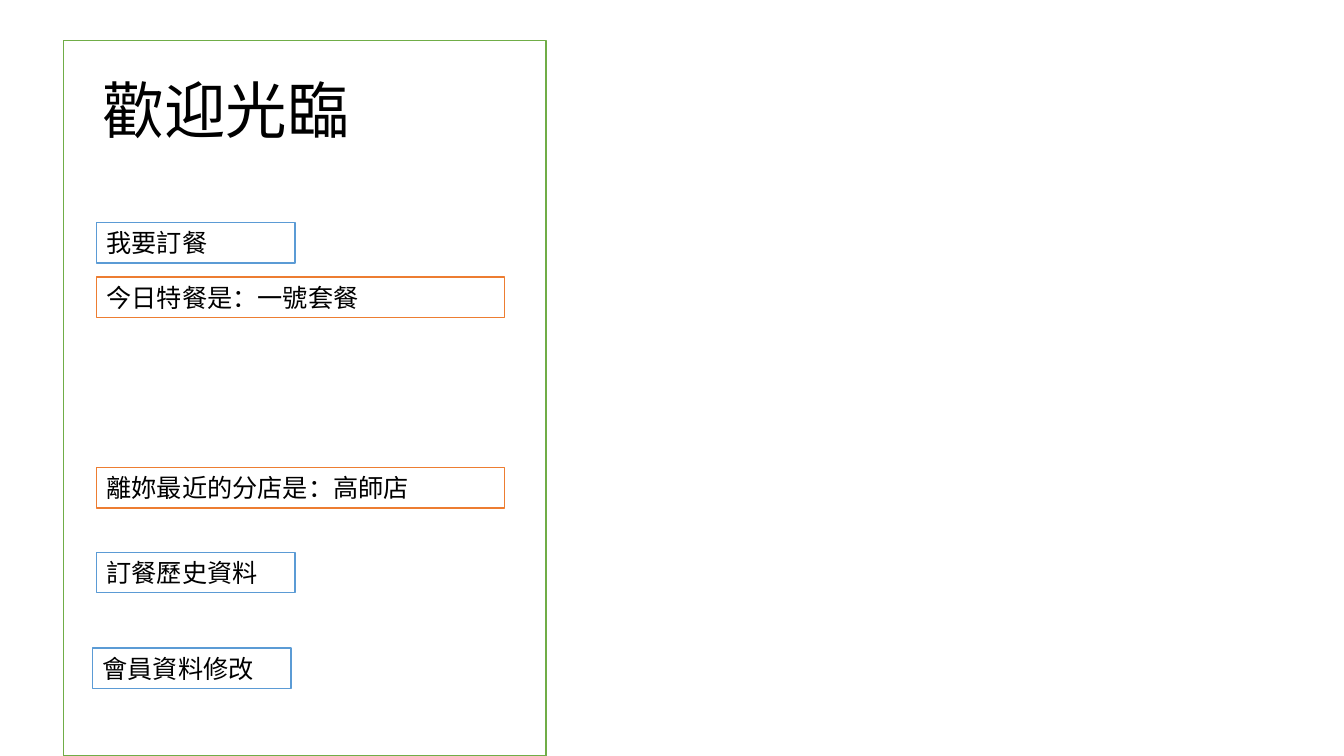
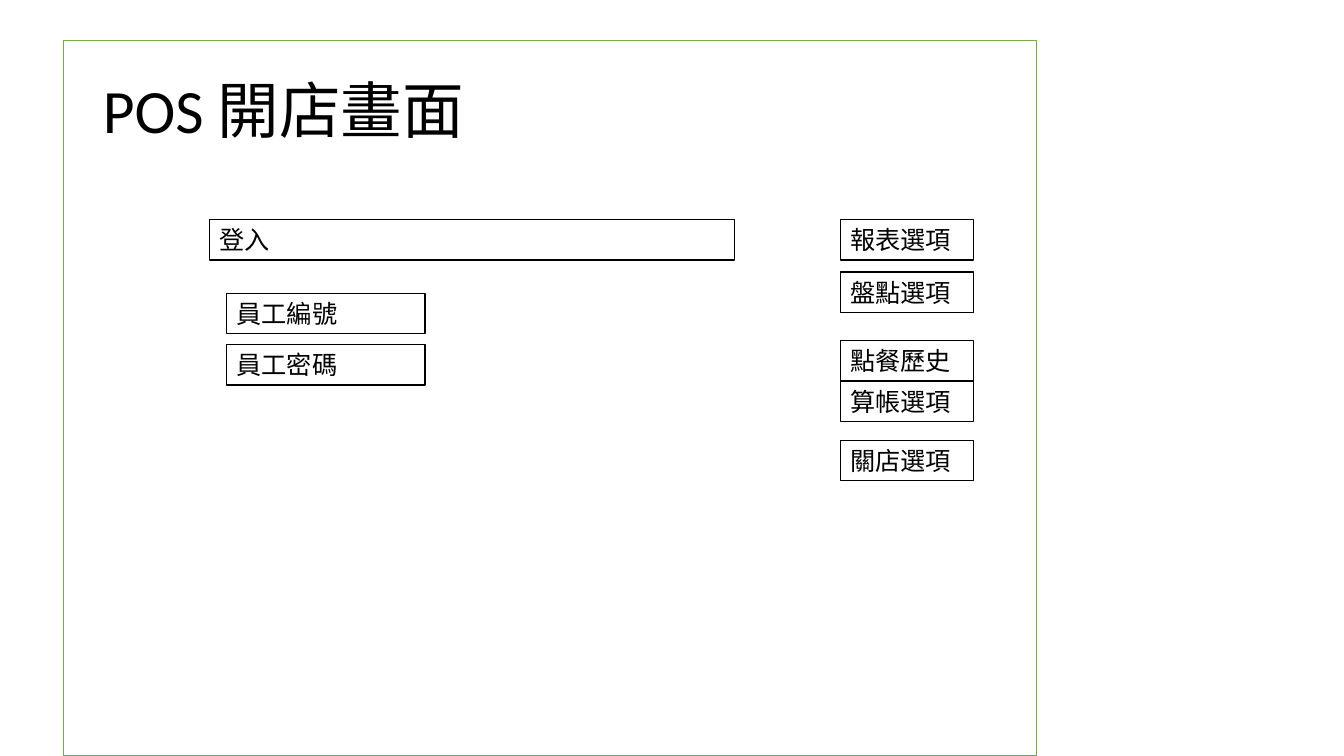
from pptx import Presentation
from pptx.dml.color import RGBColor
from pptx.enum.shapes import MSO_SHAPE as Shape
from pptx.enum.text import MSO_ANCHOR as Anchor, MSO_AUTO_SIZE as Fit, PP_ALIGN as Align
from pptx.util import Inches, Pt

GREEN, BLUE, ORANGE = "70AD47", "5B9BD5", "ED7D31"
BLACK, WHITE = "000000", "FFFFFF"
FONT = "Calibri"
LEFT, TOP, HIGH = 0.63, 0.4, 7.1
ROW = 0.4


def color(code):
    """Turn a hex string into a colour."""
    return RGBColor.from_string(code)


def write(frame, text, size=18, tint=BLACK, anchor=Anchor.TOP, space=1.0, wrap=True):
    """Put left-aligned text in a frame."""
    frame.auto_size = Fit.NONE
    frame.word_wrap = wrap
    frame.vertical_anchor = anchor
    para = frame.paragraphs[0]
    para.alignment = Align.LEFT
    para.line_spacing = space
    run = para.add_run()
    run.text = text
    run.font.name, run.font.size = FONT, Pt(size)
    run.font.color.rgb = color(tint)


def rect(slide, left, top, wide, high, line, fill=None):
    """Draw an outlined rectangle."""
    box = slide.shapes.add_shape(
        Shape.RECTANGLE, Inches(left), Inches(top), Inches(wide), Inches(high))
    box.shadow.inherit = False
    if fill:
        box.fill.solid()
        box.fill.fore_color.rgb = color(fill)
    else:
        box.fill.background()
    box.line.color.rgb = color(line)
    box.line.width = Pt(1)
    return box


def screen(deck, title, wide):
    """Add a slide with its title and green screen frame."""
    slide = deck.slides.add_slide(deck.slide_layouts[5])
    head = slide.shapes.title
    head.left, head.top = Inches(LEFT + 0.29), Inches(TOP)
    head.width, head.height = Inches(11.5), Inches(1.45)
    write(head.text_frame, title, size=44, anchor=Anchor.MIDDLE, space=0.9)
    rect(slide, LEFT, TOP, wide, HIGH, GREEN)
    return slide


def stack(slide, left, wide, rows, line=BLACK):
    """Stack fields of one width inside the frame at the given offsets."""
    for top, text in rows:
        box = rect(slide, LEFT + left, TOP + top, wide, ROW, line, WHITE)
        write(box.text_frame, text, wrap=False)


def welcome(deck):
    """Build the customer welcome screen."""
    slide = screen(deck, "歡迎光臨", 4.79)
    stack(slide, 0.33, 1.97, [(1.81, "我要訂餐"), (5.08, "訂餐歷史資料")], BLUE)
    stack(slide, 0.29, 1.97, [(6.03, "會員資料修改")], BLUE)
    stack(slide, 0.33, 4.05, [
        (2.35, "今日特餐是：一號套餐"), (4.24, "離妳最近的分店是：高師店")], ORANGE)


def opening(deck):
    """Build the shop opening screen."""
    slide = screen(deck, "POS 開店畫面", 9.66)
    stack(slide, 1.45, 5.21, [(1.78, "登入")])
    stack(slide, 1.62, 1.97, [(2.51, "員工編號"), (3.02, "員工密碼")])
    stack(slide, 7.71, 1.32, [
        (1.78, "報表選項"), (2.3, "盤點選項"), (2.98, "點餐歷史"),
        (3.38, "算帳選項"), (3.97, "關店選項")])


def main():
    """Build and save the deck."""
    deck = Presentation()
    deck.slide_width, deck.slide_height = Inches(13.34), Inches(7.5)
    welcome(deck)
    opening(deck)
    deck.save("out.pptx")


if __name__ == "__main__":
    main()
